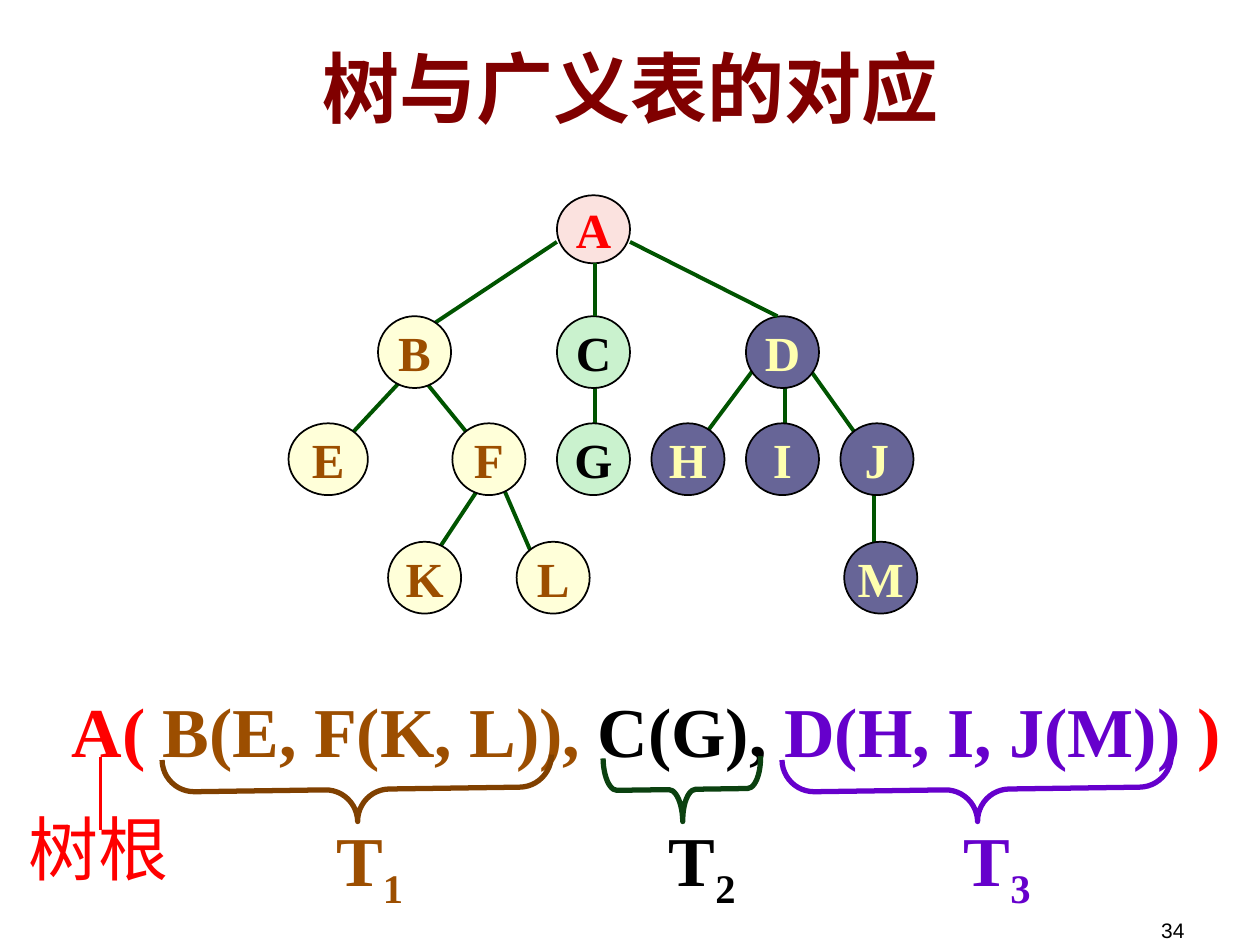
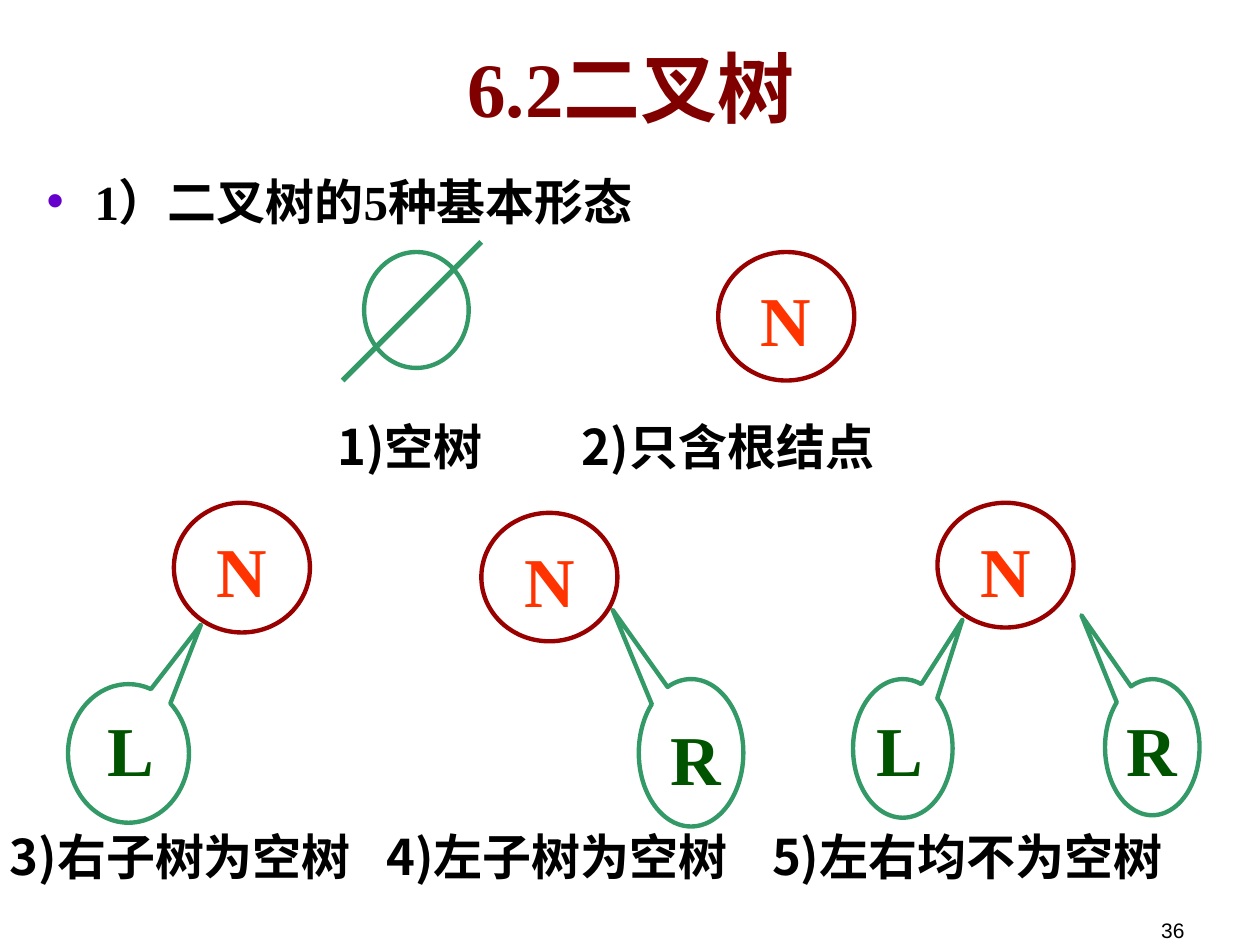
"""Build two slides on trees: generalized lists and the five binary tree forms."""
from lxml import etree
from pptx import Presentation
from pptx.dml.color import RGBColor
from pptx.enum import shapes, text
from pptx.oxml import ns
from pptx.util import Inches, Pt

MAROON = RGBColor(0x80, 0x00, 0x00)
BLACK = RGBColor(0x00, 0x00, 0x00)
WHITE = RGBColor(0xFF, 0xFF, 0xFF)
RED = RGBColor(0xFF, 0x00, 0x00)
BROWN = RGBColor(0x9C, 0x4E, 0x00)
BRACE_BROWN = RGBColor(0x80, 0x40, 0x00)
BRACE_GREEN = RGBColor(0x0B, 0x41, 0x10)
PURPLE = RGBColor(0x66, 0x00, 0xCC)
DARK_GREEN = RGBColor(0x00, 0x54, 0x00)
GREEN = RGBColor(0x33, 0x99, 0x66)
CRIMSON = RGBColor(0x99, 0x00, 0x00)
ORANGE = RGBColor(0xFF, 0x33, 0x00)
PINK = RGBColor(0xFB, 0xE2, 0xDF)
CREAM = RGBColor(0xFF, 0xFF, 0xD9)
MINT = RGBColor(0xCA, 0xF2, 0xCE)
SLATE = RGBColor(0x67, 0x65, 0x97)
YELLOW = RGBColor(0xFF, 0xFF, 0xAF)

SERIF, SANS, CJK = "Times New Roman", "Arial", "Noto Sans CJK SC"
LEFT, CENTER, RIGHT = text.PP_ALIGN.LEFT, text.PP_ALIGN.CENTER, text.PP_ALIGN.RIGHT
TOP, MIDDLE, BOTTOM = text.MSO_ANCHOR.TOP, text.MSO_ANCHOR.MIDDLE, text.MSO_ANCHOR.BOTTOM
SHAPE = shapes.MSO_SHAPE

LEVELS = [(1.55, 0.54), (2.51, 0.57), (3.36, 0.57), (4.3, 0.57)]
NODE_W, WIDE_NODE_W = 0.58, 0.63
SUBTREES = [
    (PINK, RED, [("A", 4.42, 0)]),
    (CREAM, BROWN, [("B", 3, 1), ("E", 2.29, 2), ("F", 3.59, 2), ("K", 3.08, 3), ("L", 4.1, 3)]),
    (MINT, BLACK, [("C", 4.42, 1), ("G", 4.42, 2)]),
    (SLATE, YELLOW, [("D", 5.92, 1), ("H", 5.17, 2), ("I", 5.92, 2), ("J", 6.67, 2),
                     ("M", 6.7, 3)]),
]
EDGES_UNDER = [
    (6.94, 3.83, 6.94, 4.62), (6.39, 2.88, 6.81, 3.47), (6.23, 2.96, 6.23, 3.54),
    (6.02, 2.88, 5.52, 3.55), (4.72, 3.04, 4.72, 3.46), (3.32, 2.96, 3.8, 3.55),
    (3.24, 2.96, 2.69, 3.55), (3.95, 3.77, 4.27, 4.51), (3.87, 3.77, 3.4, 4.48),
    (4.42, 1.92, 3.32, 2.65),
]
EDGES_OVER = [(4.72, 2.09, 4.72, 2.51), (5, 1.92, 6.17, 2.51)]
LIST_RUNS = [("A( ", RED), ("B(E, F(K, L)),", BROWN), (" C(G), ", BLACK),
             ("D(H, I, J(M)) ", PURPLE), (")", RED)]
BRACES = [
    ("1", 2.57, BROWN, BRACE_BROWN, (2.58, 4.72, 0.51, 3.09), 0.5),
    ("2", 5.21, BLACK, BRACE_GREEN, (5.16, 5.64, 0.51, 1.25), 0.21),
    ("3", 7.55, PURPLE, PURPLE, (7.5, 4.72, 0.51, 3.09), 0.5),
]

TIPS = {"L": (0.6, -0.93), "R": (-0.75, -0.97)}
LABEL_W = {"L": 0.57, "R": 0.6}
ROOTS = [(5.7, 2, 1.08, 1.02), (1.38, 3.99, 1.08, 1.03),
         (3.82, 4.07, 1.08, 1.02), (7.44, 3.99, 1.08, 0.99)]
CHILDREN = [
    ("L", (0.54, 5.43, 0.96, 1.1), (0.75, 5.56)),
    ("R", (5.07, 5.39, 0.83, 1.17), (5.22, 5.63)),
    ("L", (6.77, 5.39, 0.79, 1.1), (6.86, 5.56)),
    ("R", (8.77, 5.39, 0.75, 1.08), (8.84, 5.56)),
]
CAPTIONS = [
    ("1)空树", 2.58, 3.26, 1.55), ("2)只含根结点", 4.52, 3.26, 3.45),
    ("3)右子树为空树", -0.02, 6.51, 3.84), ("4)左子树为空树", 2.97, 6.51, 3.84),
    ("5)左右均不为空树", 6.03, 6.51, 4.23),
]


def write(tf, content, *, size=40, color=BLACK, font=SERIF, bold=True, align=LEFT,
          anchor=TOP, wrap=True, sub=""):
    """Fill a text frame with a string or (string, colour) runs, plus a subscript."""
    tf.word_wrap, tf.vertical_anchor = wrap, anchor
    tf.margin_left = tf.margin_right = Inches(0.1)
    tf.margin_top = tf.margin_bottom = Inches(0.05)
    p = tf.paragraphs[0]
    p.alignment, p.space_before = align, Pt(0)
    runs = [(content, color)] if isinstance(content, str) else list(content)
    for words, shade in runs + ([(sub, color)] if sub else []):
        r = p.add_run()
        r.text = words
        r.font.size, r.font.bold, r.font.name = Pt(size), bold, font
        r.font.color.rgb = shade
        rpr = r.font._element
        etree.SubElement(rpr, ns.qn("a:ea")).set("typeface", CJK)
    if sub:
        rpr.set("baseline", "-25000")


def add_label(slide, content, box, **fmt):
    """Add a text box."""
    sp = slide.shapes.add_textbox(*map(Inches, box))
    write(sp.text_frame, content, **fmt)
    if not fmt.get("wrap", True):
        sp.text_frame.auto_size = text.MSO_AUTO_SIZE.SHAPE_TO_FIT_TEXT


def add_outline(slide, kind, box, color, width, fill=None):
    """Add a preset shape with an outline and an optional fill."""
    sp = slide.shapes.add_shape(kind, *map(Inches, box))
    sp.shadow.inherit = False
    sp.line.color.rgb, sp.line.width = color, Pt(width)
    if fill is None:
        sp.fill.background()
    else:
        sp.fill.solid()
        sp.fill.fore_color.rgb = fill
    return sp


def add_line(slide, ends, color, width):
    """Add a straight line without a shadow."""
    cx = slide.shapes.add_connector(shapes.MSO_CONNECTOR.STRAIGHT, *map(Inches, ends))
    cx.line.color.rgb, cx.line.width = color, Pt(width)
    etree.SubElement(cx._element.spPr, ns.qn("a:effectLst"))


def place(sp, box):
    """Move and size a placeholder."""
    sp.left, sp.top, sp.width, sp.height = map(Inches, box)
    sp.text_frame.auto_size = text.MSO_AUTO_SIZE.NONE


def add_slide(prs, layout, title, number):
    """Add a slide with the shared title and page number."""
    slide = prs.slides.add_slide(prs.slide_layouts[layout])
    place(slide.shapes.title, (0.51, 0.13, 9, 1.12))
    write(slide.shapes.title.text_frame, title, size=44, color=MAROON, align=CENTER,
          anchor=MIDDLE)
    add_label(slide, number, (7.17, 7.03, 2.33, 0.5), size=12, font=SANS, bold=False,
              align=RIGHT, anchor=BOTTOM)
    return slide


def build_list_slide(prs):
    """Draw the tree above its generalized list."""
    slide = add_slide(prs, 5, "树与广义表的对应", "34")
    for ends in EDGES_UNDER:
        add_line(slide, ends, DARK_GREEN, 2.25)
    for fill, color, nodes in SUBTREES:
        for name, x, level in nodes:
            y, h = LEVELS[level]
            w = WIDE_NODE_W if name == "E" else NODE_W
            sp = add_outline(slide, SHAPE.OVAL, (x, y, w, h), BLACK, 1, fill)
            write(sp.text_frame, name, size=28, color=color, align=CENTER, anchor=MIDDLE,
                  wrap=False)
    for ends in EDGES_OVER:
        add_line(slide, ends, DARK_GREEN, 2.25)
    add_label(slide, LIST_RUNS, (0.47, 5.41, 9.5, 0.77))
    for sub, x, color, brace_color, box, curve in BRACES:
        sp = add_outline(slide, SHAPE.LEFT_BRACE, box, brace_color, 3)
        sp.rotation = 269.2
        sp.adjustments[0], sp.adjustments[1] = curve, 0.5
        add_label(slide, "T", (x, 6.43, 0.89, 0.86), color=color, sub=sub)
    add_line(slide, (0.8, 6.01, 0.8, 6.59), RED, 1.5)
    add_label(slide, "树根", (0.13, 6.34, 1.31, 0.77), color=RED, bold=False, wrap=False)


def build_forms_slide(prs):
    """Draw the five basic forms of a binary tree."""
    slide = add_slide(prs, 1, "6.2二叉树", "36")
    body = slide.placeholders[1]
    place(body, (0.27, 1.31, 9.45, 5.67))
    ppr = body.text_frame.paragraphs[0]._p.get_or_add_pPr()
    ppr.set("marL", str(Inches(0.38)))
    ppr.set("indent", str(Inches(-0.38)))
    bu_color = etree.SubElement(ppr, ns.qn("a:buClr"))
    etree.SubElement(bu_color, ns.qn("a:srgbClr")).set("val", str(PURPLE))
    etree.SubElement(ppr, ns.qn("a:buFont")).set("typeface", SANS)
    etree.SubElement(ppr, ns.qn("a:buChar")).set("char", "•")
    write(body.text_frame, "1）二叉树的5种基本形态", size=28)

    add_outline(slide, SHAPE.OVAL, (2.89, 2, 0.83, 0.92), GREEN, 2.5, WHITE)
    add_line(slide, (3.82, 1.92, 2.72, 3.02), GREEN, 3)
    for name, box, (x, y) in CHILDREN:
        sp = add_outline(slide, SHAPE.OVAL_CALLOUT, box, GREEN, 2.5, WHITE)
        sp.adjustments[0], sp.adjustments[1] = TIPS[name]
        add_label(slide, name, (x, y, LABEL_W[name], 0.77), color=DARK_GREEN,
                  align=CENTER, wrap=False)
    for box in ROOTS:
        sp = add_outline(slide, SHAPE.OVAL, box, CRIMSON, 2.5, WHITE)
        write(sp.text_frame, "N", color=ORANGE, align=CENTER)
    for caption, x, y, w in CAPTIONS:
        add_label(slide, caption, (x, y, w, 0.57), size=28, font=CJK)


def main():
    """Build and save the presentation."""
    prs = Presentation()
    prs.slide_width, prs.slide_height = Inches(10), Inches(7.5)
    build_list_slide(prs)
    build_forms_slide(prs)
    prs.save("out.pptx")


if __name__ == "__main__":
    main()
